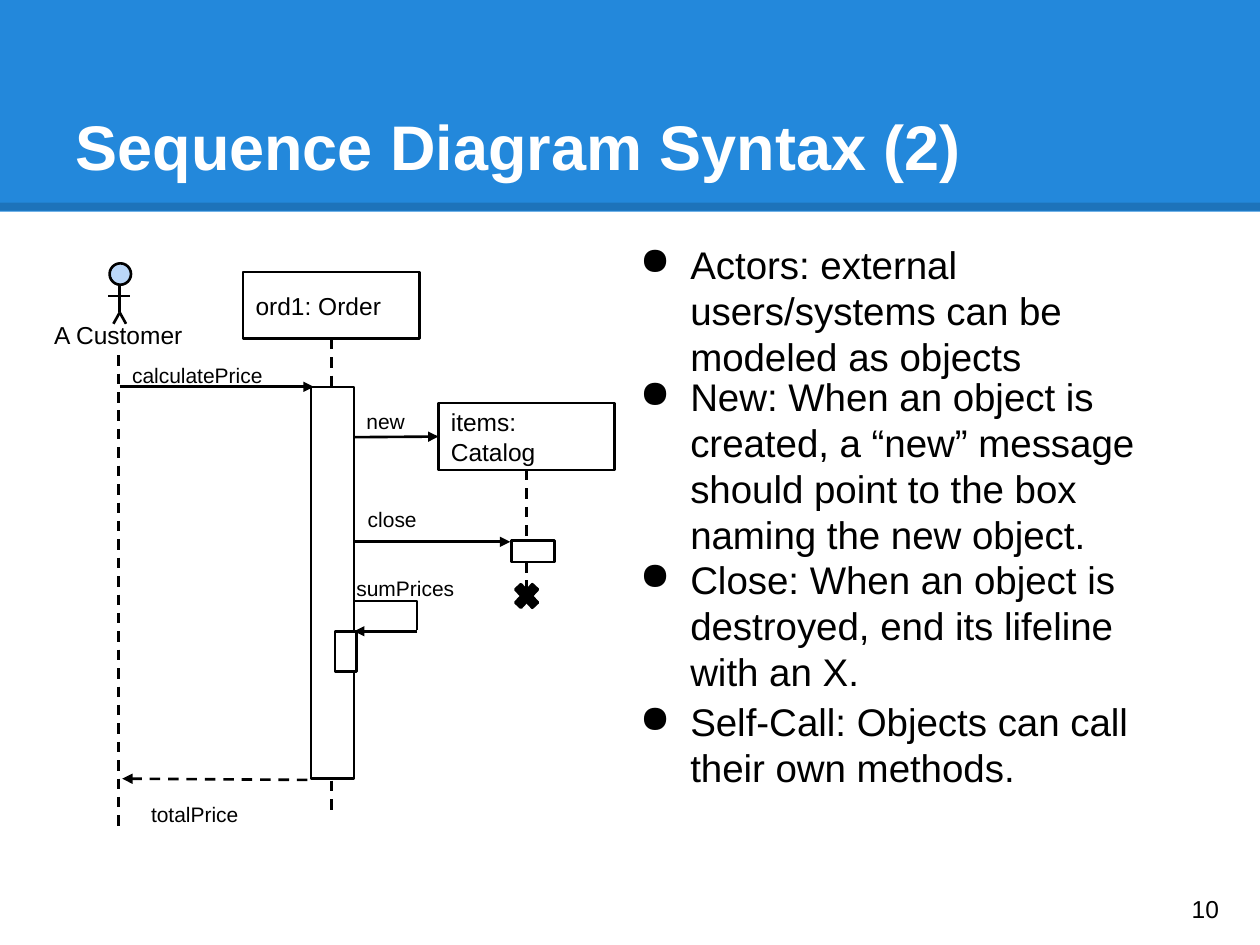
from dataclasses import dataclass

from lxml import etree
from pptx import Presentation
from pptx import util as u
from pptx.dml.color import RGBColor
from pptx.enum import dml, shapes, text
from pptx.oxml.ns import qn

PX = 9144  # EMU per px, 100 px to the inch


@dataclass(frozen=True)
class Theme:
    font: str = "Arial"
    ink: RGBColor = RGBColor(0, 0, 0)
    paper: RGBColor = RGBColor(255, 255, 255)
    band: RGBColor = RGBColor(0x23, 0x88, 0xDB)
    head: RGBColor = RGBColor(0xBB, 0xD7, 0xF8)
    title: int = 36
    body: int = 22
    label: int = 14
    message: int = 12
    stroke: float = 1.5


theme = Theme()
deck = Presentation()
deck.slide_width, deck.slide_height = 1000 * PX, 750 * PX
page = deck.slides.add_slide(deck.slide_layouts[5])


def write(box, words, size, color=theme.ink, anchor=text.MSO_ANCHOR.TOP,
          align=text.PP_ALIGN.LEFT, bold=False, bullet=False):
    frame = box.text_frame
    frame.word_wrap = True
    frame.auto_size = text.MSO_AUTO_SIZE.NONE
    frame.vertical_anchor = anchor
    frame.margin_left = frame.margin_right = 10 * PX
    frame.margin_top = frame.margin_bottom = 10 * PX
    para = frame.paragraphs[0]
    para.alignment = align
    if bullet:
        props = para._p.get_or_add_pPr()
        props.set("marL", str(50 * PX))
        props.set("indent", str(-40 * PX))
        etree.SubElement(props, qn("a:buChar")).set("char", "●")
    span = para.add_run()
    span.text = words
    span.font.name, span.font.size, span.font.bold = theme.font, u.Pt(size), bold
    span.font.color.rgb = color


def connect(x1, y1, x2, y2, dashed=False, arrow=False):
    line = page.shapes.add_connector(
        shapes.MSO_CONNECTOR.STRAIGHT, x1 * PX, y1 * PX, x2 * PX, y2 * PX)
    line.line.color.rgb = theme.ink
    line.line.width = u.Pt(theme.stroke)
    if dashed:
        line.line.dash_style = dml.MSO_LINE.DASH
    if arrow:
        etree.SubElement(line.line._get_or_add_ln(), qn("a:tailEnd")).set("type", "triangle")
    etree.SubElement(line._element.spPr, qn("a:effectLst"))
    return line


# Title on its band, with a translucent rule along the lower edge
title = page.shapes.title
title.left, title.top, title.width, title.height = 50 * PX, 30 * PX, 900 * PX, 125 * PX
write(title, "Sequence Diagram Syntax (2)", theme.title, theme.paper,
      text.MSO_ANCHOR.BOTTOM, bold=True)
band = page.shapes.add_shape(shapes.MSO_SHAPE.RECTANGLE, 0, 0, 1000 * PX, 168 * PX)
band.shadow.inherit = False
band.fill.solid()
band.fill.fore_color.rgb = theme.band
band.line.fill.background()
rule = connect(0, 164, 1000, 164)
rule.line.width = u.Pt(4.5)
ink = rule._element.spPr.find(".//" + qn("a:srgbClr"))
etree.SubElement(ink, qn("a:alpha")).set("val", "15000")
for backdrop in (band, rule):
    title._element.addprevious(backdrop._element)

# Objects and their lifelines
lifelines = {}
for name, x, y, end in (("ord1: Order", 193, 216, 645), ("items: Catalog", 348, 320, 473)):
    box = page.shapes.add_shape(
        shapes.MSO_SHAPE.RECTANGLE, x * PX, y * PX, 140 * PX, 53 * PX)
    box.shadow.inherit = False
    box.fill.solid()
    box.fill.fore_color.rgb = theme.paper
    box.line.color.rgb = theme.ink
    box.line.width = u.Pt(theme.stroke)
    write(box, name, theme.label, anchor=text.MSO_ANCHOR.MIDDLE)
    lifeline = connect(x + 70, y + 53, x + 70, end, dashed=True)
    lifeline.begin_connect(box, 2)
    lifelines[name] = box
connect(94, 282, 94, 658, dashed=True)

# Self-call loop, drawn before the activation it returns to
loop = page.shapes.build_freeform(282 * PX, 477 * PX, scale=1.0)
loop.add_line_segments([(331 * PX, 477 * PX), (331 * PX, 500 * PX)], close=False)
loop = loop.convert_to_shape()
loop.shadow.inherit = False
loop.fill.background()
loop.line.color.rgb = theme.ink
loop.line.width = u.Pt(theme.stroke)

# Activations, actor's head and the destruction mark
rect = shapes.MSO_SHAPE.RECTANGLE
for kind, x, y, w, h, fill in (
    (rect, 247, 307, 34, 311, theme.paper),
    (rect, 406, 429, 34, 17, theme.paper),
    (rect, 266, 501, 17, 32, theme.paper),
    (shapes.MSO_SHAPE.OVAL, 87, 209, 17, 17, theme.head),
    (shapes.MSO_SHAPE.MATH_MULTIPLY, 405, 459, 26, 28, theme.ink),
):
    part = page.shapes.add_shape(kind, x * PX, y * PX, w * PX, h * PX)
    part.shadow.inherit = False
    part.fill.solid()
    part.fill.fore_color.rgb = fill
    part.line.color.rgb = theme.ink
    part.line.width = u.Pt(theme.stroke)

# Actor's body, legs and arms
for limb in ((95, 226, 95, 248), (95, 248, 90, 257), (95, 248, 100, 257), (86, 235, 103, 235)):
    connect(*limb)

# Messages
new = connect(281, 347, 348, 346, arrow=True)
new.end_connect(lifelines["items: Catalog"], 1)
connect(95, 307, 249, 307, arrow=True)
connect(281, 430, 405, 430, arrow=True)
connect(331, 501, 281, 501, arrow=True)
connect(244, 619, 97, 618, dashed=True, arrow=True)

# Message names
for name, x, y, w in (
    ("calculatePrice", 95, 278, 140),
    ("new", 281, 314, 67),
    ("close", 282, 392, 121),
    ("sumPrices", 273, 447, 121),
    ("totalPrice", 110, 626, 121),
):
    write(page.shapes.add_textbox(x * PX, y * PX, w * PX, 32 * PX), name, theme.message)

actor = page.shapes.add_textbox(32 * PX, 244 * PX, 124 * PX, 28 * PX)
write(actor, "A Customer", theme.label, align=text.PP_ALIGN.CENTER)

# Explanations
for y, words in (
    (181, "Actors: external users/systems can be modeled as objects"),
    (286, "New: When an object is created, a “new” message should point to the box "
          "naming the new object."),
    (431, "Close: When an object is destroyed, end its lifeline with an X."),
    (544, "Self-Call: Objects can call their own methods."),
):
    note = page.shapes.add_textbox(488 * PX, y * PX, 462 * PX, 94 * PX)
    write(note, words, theme.body, bullet=True)

# Page number
number = page.shapes.add_textbox(936 * PX, 693 * PX, 60 * PX, 57 * PX)
write(number, "10", theme.label, anchor=text.MSO_ANCHOR.MIDDLE)

deck.save("out.pptx")
